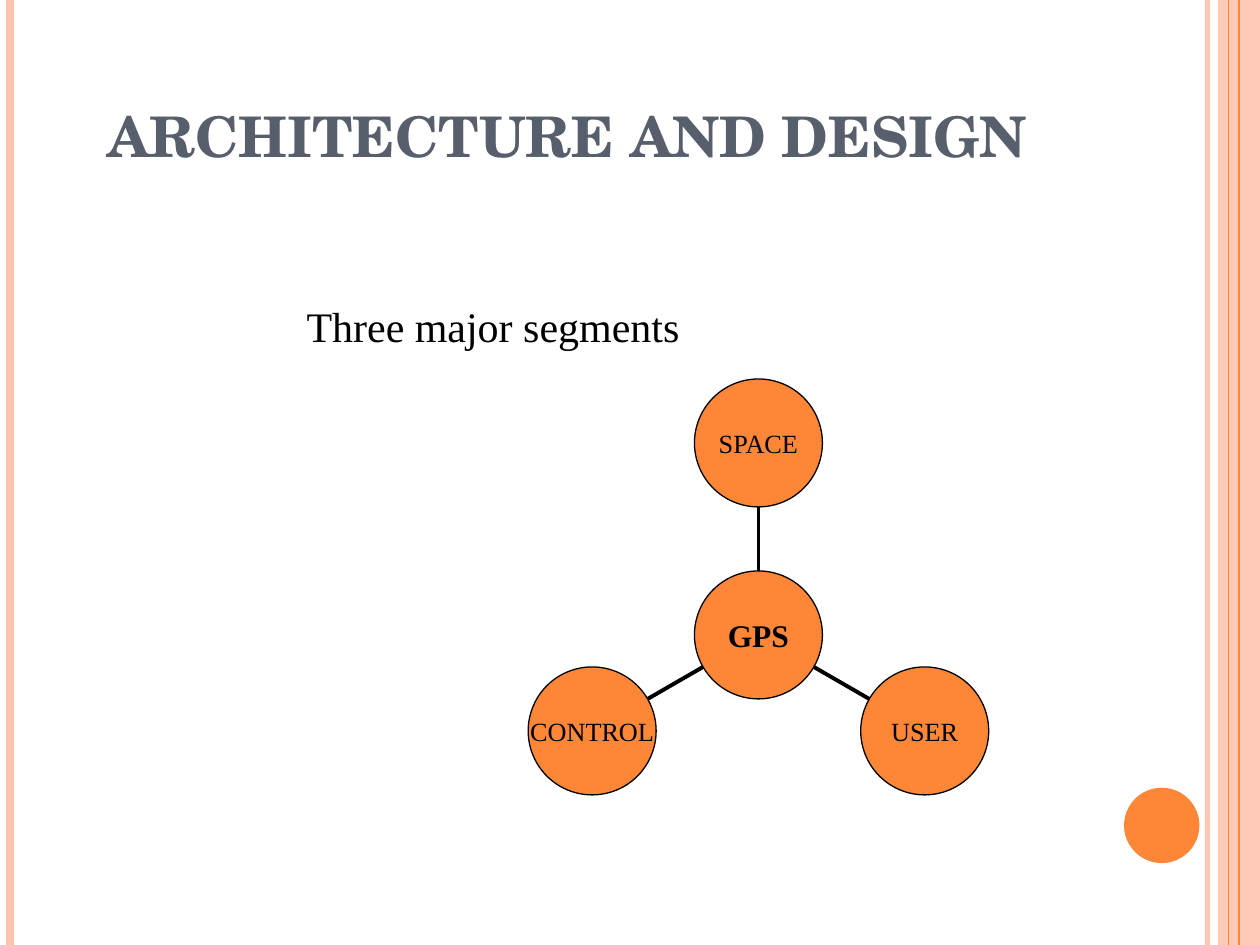
from dataclasses import dataclass
from math import cos, radians, sin

from lxml import etree
from pptx import Presentation
from pptx.dml.color import RGBColor
from pptx.enum.shapes import MSO_CONNECTOR, MSO_SHAPE
from pptx.enum.text import MSO_ANCHOR, MSO_AUTO_SIZE, PP_ALIGN
from pptx.oxml.ns import qn
from pptx.util import Cm, Pt

STRAIGHT = MSO_CONNECTOR.STRAIGHT
OVAL, RECT = MSO_SHAPE.OVAL, MSO_SHAPE.RECTANGLE
LEFT, CENTER = PP_ALIGN.LEFT, PP_ALIGN.CENTER
MIDDLE, BOTTOM = MSO_ANCHOR.MIDDLE, MSO_ANCHOR.BOTTOM

WIDTH, HEIGHT = 25.4, 19.05
COLORS = {"orange": "FE8637", "peach": "FEC3AE", "slate": "575F6D", "black": "000000"}
SERIF = "Times New Roman"
HUB_X, HUB_Y = 15.29, 12.8
DIAMETER = 2.58
SPOKE = 1.5 * DIAMETER


@dataclass
class Stripe:
    x: float
    color: str
    weight: float
    opacity: int = 100


@dataclass
class Segment:
    label: str
    angle: float


STRIPES = [
    Stripe(24.34, "peach", 3, 93),
    Stripe(0.21, "peach", 4.5),
    Stripe(24.98, "orange", 1.5),
    Stripe(24.77, "orange", 0.75),
]
SEGMENTS = [Segment("CONTROL", 150), Segment("USER", 30), Segment("SPACE", -90)]


def rgb(name: str) -> RGBColor:
    return RGBColor.from_string(COLORS[name])


def set_opacity(shape, percent: int) -> None:
    for color in shape._element.spPr.iter(qn("a:srgbClr")):
        etree.SubElement(color, qn("a:alpha")).set("val", str(percent * 1000))


def add_line(s, x1: float, y1: float, x2: float, y2: float, color: str, weight: float):
    line = s.shapes.add_connector(STRAIGHT, Cm(x1), Cm(y1), Cm(x2), Cm(y2))
    line.line.color.rgb = rgb(color)
    line.line.width = Pt(weight)
    etree.SubElement(line._element.spPr, qn("a:effectLst"))
    return line


def add_filled(s, kind, x: float, y: float, w: float, h: float, color: str):
    sp = s.shapes.add_shape(kind, Cm(x), Cm(y), Cm(w), Cm(h))
    sp.shadow.inherit = False
    sp.fill.solid()
    sp.fill.fore_color.rgb = rgb(color)
    sp.line.fill.background()
    return sp


def write(tf, text: str, align, color: str, **font) -> None:
    p = tf.paragraphs[0]
    p.alignment = align
    r = p.add_run()
    r.text = text
    for key, value in font.items():
        setattr(r.font, key, value)
    r.font.color.rgb = rgb(color)


def add_node(s, x: float, y: float, label: str, size: float, bold: bool = False) -> None:
    sp = add_filled(s, OVAL, x - DIAMETER / 2, y - DIAMETER / 2, DIAMETER, DIAMETER, "orange")
    sp.line.color.rgb = rgb("black")
    sp.line.width = Pt(0.75)
    tf = sp.text_frame
    tf.word_wrap = False
    tf.vertical_anchor = MIDDLE
    write(tf, label, CENTER, "black", name=SERIF, size=Pt(size), bold=bold)


def add_segment(s, segment: Segment) -> None:
    dx, dy = cos(radians(segment.angle)), sin(radians(segment.angle))
    inner, outer = DIAMETER / 2, SPOKE - DIAMETER / 2
    add_line(s, HUB_X + inner * dx, HUB_Y + inner * dy,
             HUB_X + outer * dx, HUB_Y + outer * dy, "black", 2.25)
    add_node(s, HUB_X + SPOKE * dx, HUB_Y + SPOKE * dy, segment.label, 15)


def add_frame(s) -> None:
    band = add_filled(s, RECT, 24.55, 0, WIDTH - 24.55, HEIGHT, "peach")
    set_opacity(band, 87)
    for stripe in STRIPES:
        line = add_line(s, stripe.x, 0, stripe.x, HEIGHT, stripe.color, stripe.weight)
        if stripe.opacity < 100:
            set_opacity(line, stripe.opacity)
    add_filled(s, OVAL, 22.66, 15.88, 1.52, 1.52, "orange")


def add_title(s) -> None:
    title = s.shapes.title
    place = {"left": 1.91, "top": 1.7, "width": 21.59, "height": 3.18}
    for key, value in place.items():
        setattr(title, key, Cm(value))
    tf = title.text_frame
    settings = {"word_wrap": True, "auto_size": MSO_AUTO_SIZE.NONE,
                "vertical_anchor": BOTTOM, "margin_bottom": Cm(1.48)}
    for key, value in settings.items():
        setattr(tf, key, value)
    write(tf, "ARCHITECTURE AND DESIGN", LEFT, "slate",
          name="TeX Gyre Schola", size=Pt(32), bold=True)


def add_caption(s) -> None:
    tf = s.shapes.add_textbox(Cm(5.93), Cm(5.93), Cm(8.03), Cm(1.27)).text_frame
    tf.word_wrap = False
    tf.auto_size = MSO_AUTO_SIZE.SHAPE_TO_FIT_TEXT
    write(tf, "Three major segments", LEFT, "black", name=SERIF, size=Pt(24))


def main() -> None:
    prs = Presentation()
    prs.slide_width, prs.slide_height = Cm(WIDTH), Cm(HEIGHT)
    s = prs.slides.add_slide(prs.slide_layouts[5])
    add_frame(s)
    add_title(s)
    for segment in SEGMENTS:
        add_segment(s, segment)
    add_node(s, HUB_X, HUB_Y, "GPS", 18, bold=True)
    add_caption(s)
    prs.save("out.pptx")


if __name__ == "__main__":
    main()
